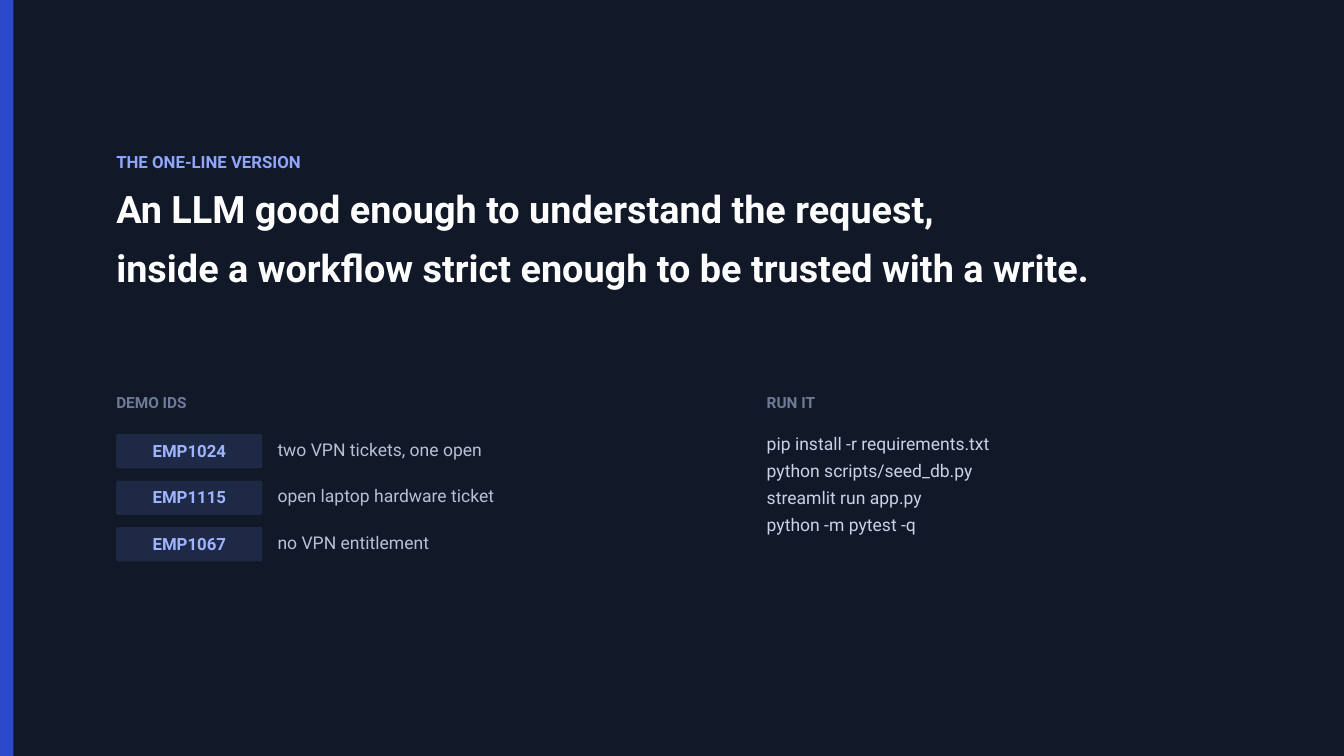
"""Build the dark closing slide: headline, demo IDs and run commands."""
from dataclasses import dataclass
from typing import NamedTuple

from pptx import Presentation
from pptx.dml.color import RGBColor
from pptx.enum.shapes import MSO_SHAPE as SHAPE
from pptx.enum.text import MSO_ANCHOR as ANCHOR, MSO_AUTO_SIZE as AUTO, PP_ALIGN as ALIGN
from pptx.util import Inches, Pt

COLORS = {
    "night": "111827", "bar": "2B4ACB", "pill": "1E2A45", "kicker": "8FA6FF",
    "white": "FFFFFF", "label": "6E7B96", "id": "9FB4FF", "note": "B6C0D6",
    "command": "C9D3E8",
}
FONT = "Roboto"
WIDTH, HEIGHT = Inches(20), Inches(11.25)
COL, ROW = WIDTH / 100, HEIGHT / 100
LEFT, NOTE_LEFT, RIGHT = 8.65, 20.65, 57.05
LABEL_TOP, LIST_TOP, LIST_STEP = 51.29, 57.42, 6.15


class Box(NamedTuple):
    """Place and size in columns and rows of a 100 by 100 grid."""
    x: float
    y: float
    w: float
    h: float

    def emu(self) -> tuple[int, ...]:
        """Return left, top, width and height in EMU."""
        return (round(self.x * COL), round(self.y * ROW),
                round(self.w * COL), round(self.h * ROW))


@dataclass(frozen=True)
class Style:
    """Look of a line of text."""
    size: float
    leading: float
    color: str
    bold: bool = False
    align: ALIGN = ALIGN.LEFT


@dataclass(frozen=True)
class Demo:
    """Employee ID and what it demonstrates."""
    code: str
    note: str


KICKER = Style(18, 27.7, "kicker", True)
HEADLINE = Style(40.5, 63.2, "white", True)
LABEL = Style(16.5, 25.4, "label", True)
ID = Style(18, 23.8, "id", True, ALIGN.CENTER)
NOTE = Style(18.8, 28.8, "note")
COMMAND = Style(18.8, 28.8, "command")

TITLE = [
    ("THE ONE-LINE VERSION", KICKER),
    ("An LLM good enough to understand the request,", HEADLINE),
    ("inside a workflow strict enough to be trusted with a write.", HEADLINE),
]
DEMOS = [
    Demo("EMP1024", "two VPN tickets, one open"),
    Demo("EMP1115", "open laptop hardware ticket"),
    Demo("EMP1067", "no VPN entitlement"),
]
COMMANDS = [
    "pip install -r requirements.txt",
    "python scripts/seed_db.py",
    "streamlit run app.py",
    "python -m pytest -q",
]


def rgb(name: str) -> RGBColor:
    """Look up a named colour."""
    return RGBColor.from_string(COLORS[name])


def write(sp, lines: list[tuple[str, Style]], anchor: ANCHOR = ANCHOR.TOP) -> None:
    """Fill a shape with one styled paragraph per line."""
    tf = sp.text_frame
    tf.word_wrap, tf.auto_size, tf.vertical_anchor = True, AUTO.NONE, anchor
    tf.margin_left = tf.margin_top = tf.margin_right = tf.margin_bottom = 0
    for i, (text, style) in enumerate(lines):
        p = tf.add_paragraph() if i else tf.paragraphs[0]
        p.alignment, p.line_spacing = style.align, Pt(style.leading)
        p.space_before = p.space_after = Pt(0)
        r = p.add_run()
        r.text = text
        r.font.name, r.font.size, r.font.bold = FONT, Pt(style.size), style.bold
        r.font.color.rgb = rgb(style.color)


def add_text(slide, box: Box, lines: list[tuple[str, Style]]) -> None:
    """Add a text box."""
    write(slide.shapes.add_textbox(*box.emu()), lines)


def add_block(slide, kind: SHAPE, box: Box, color: str):
    """Add a flat filled shape."""
    sp = slide.shapes.add_shape(kind, *box.emu())
    sp.shadow.inherit = False
    sp.fill.solid()
    sp.fill.fore_color.rgb = rgb(color)
    sp.line.fill.background()
    return sp


def add_demo(slide, row: int, demo: Demo) -> None:
    """Add an ID pill with its note."""
    y = LIST_TOP + row * LIST_STEP
    pill = add_block(slide, SHAPE.ROUNDED_RECTANGLE, Box(LEFT, y, 10.88, 4.53), "pill")
    pill.adjustments[0] = 0.06
    write(pill, [(demo.code, ID)], ANCHOR.MIDDLE)
    pill.text_frame.margin_bottom = Inches(0.05)
    add_text(slide, Box(NOTE_LEFT, y - 0.18, 30, 4.27), [(demo.note, NOTE)])


def main() -> None:
    """Build and save the slide."""
    prs = Presentation()
    prs.slide_width, prs.slide_height = WIDTH, HEIGHT
    slide = prs.slides.add_slide(prs.slide_layouts[5])
    slide.background.fill.solid()
    slide.background.fill.fore_color.rgb = rgb("night")
    add_block(slide, SHAPE.RECTANGLE, Box(0, 0, 1, 100), "bar")

    title = slide.shapes.title
    title.left, title.top, title.width, title.height = Box(LEFT, 19.29, 78.8, 18.04).emu()
    write(title, TITLE)

    for x, w, text in ((LEFT, 37.55, "DEMO IDS"), (RIGHT, 34.55, "RUN IT")):
        add_text(slide, Box(x, LABEL_TOP, w, 4.71), [(text, LABEL)])
    for row, demo in enumerate(DEMOS):
        add_demo(slide, row, demo)
    add_text(slide, Box(RIGHT, 56.53, 36.05, 14.13), [(c, COMMAND) for c in COMMANDS])
    prs.save("out.pptx")


if __name__ == "__main__":
    main()
